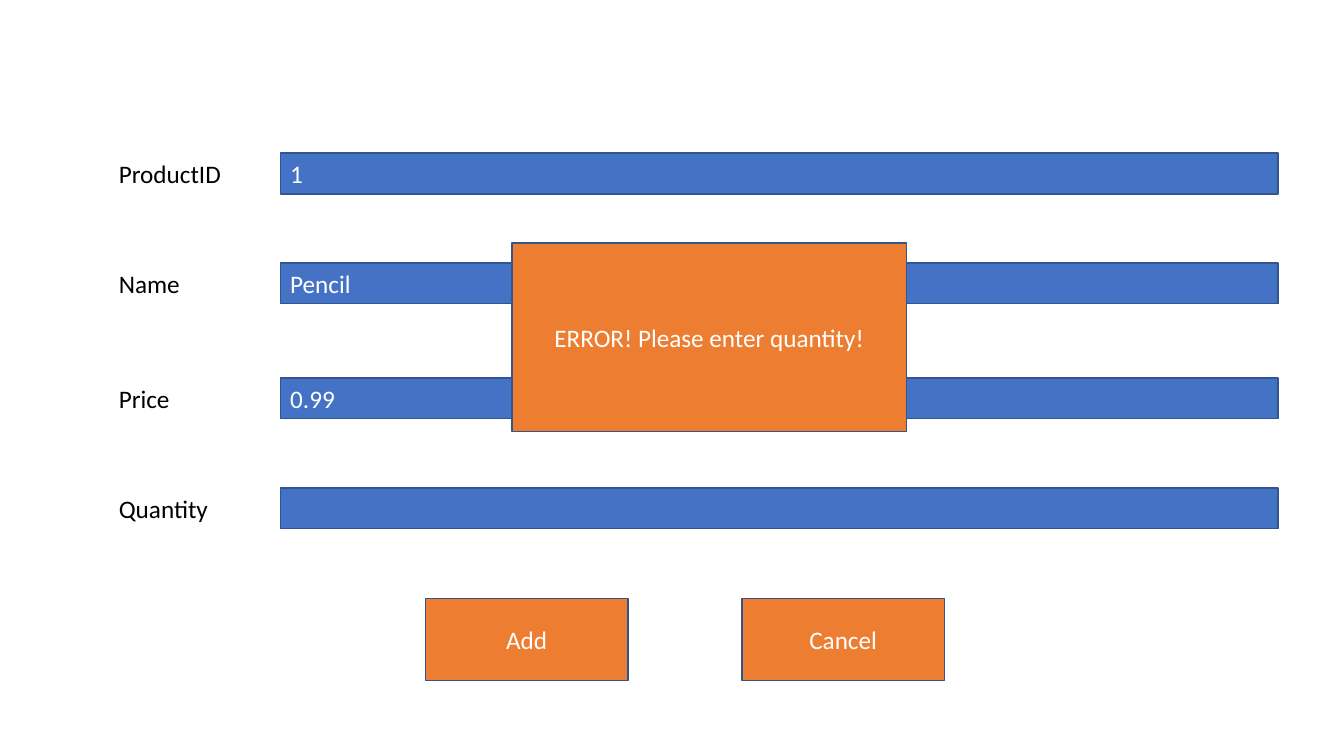
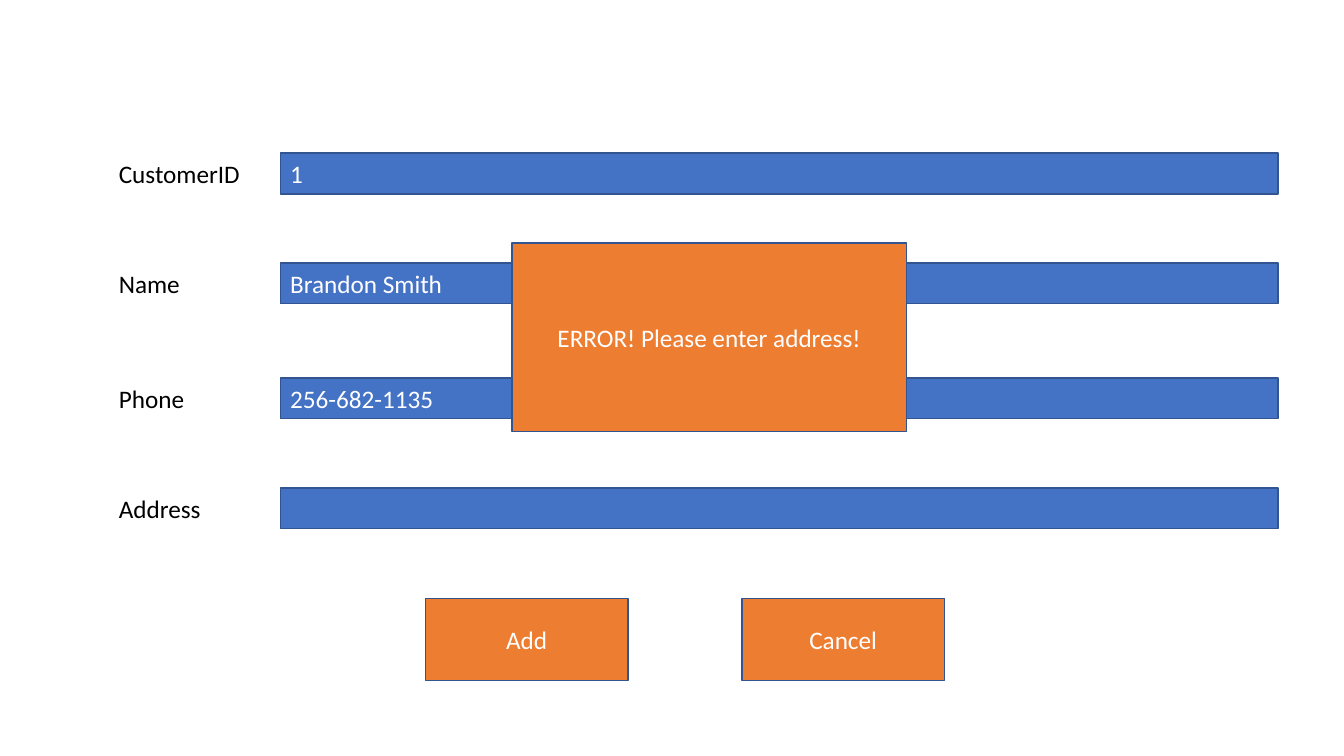
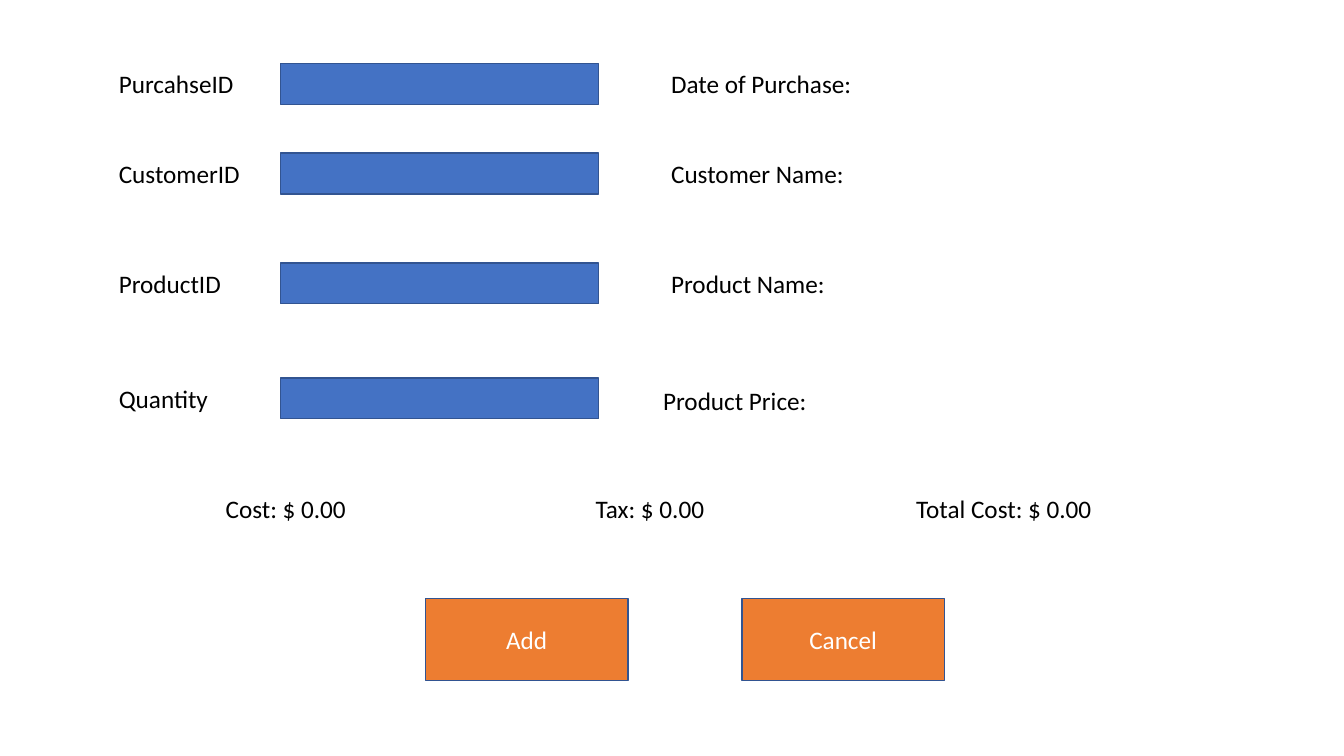
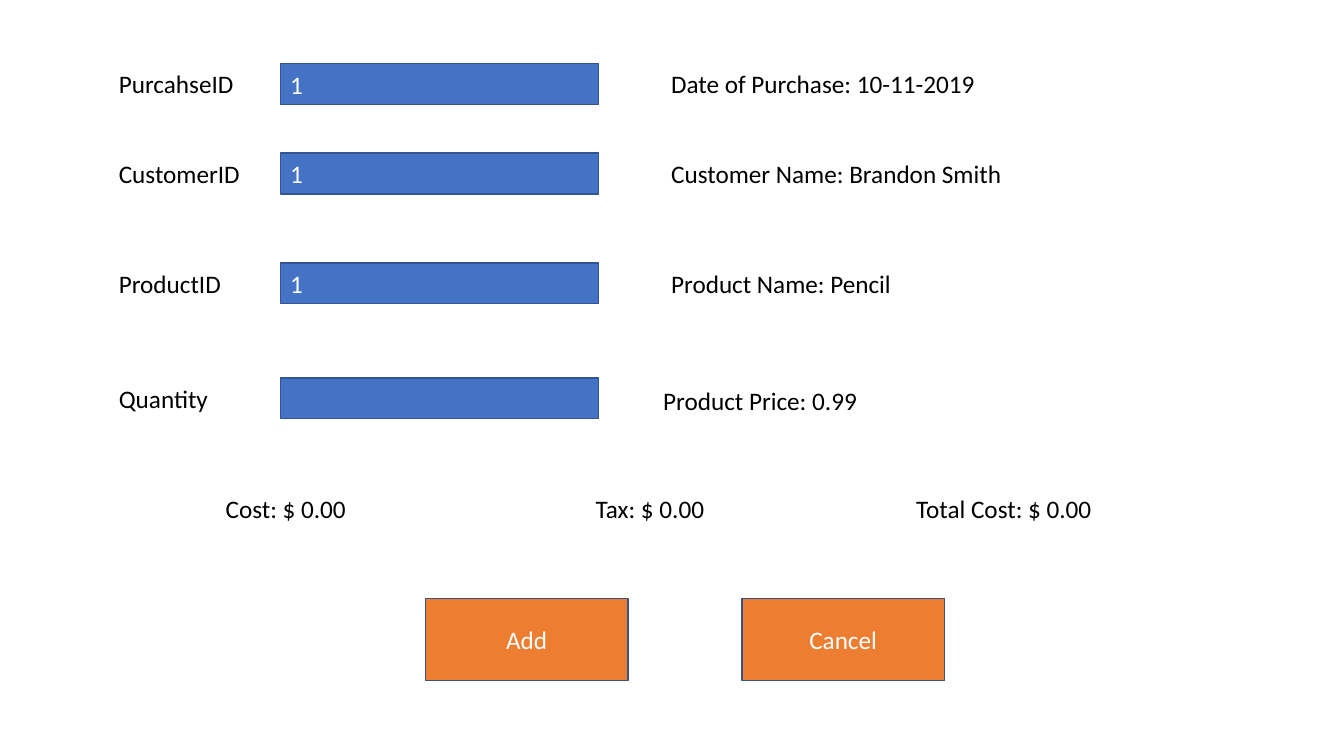
from pptx import Presentation
from pptx.dml.color import RGBColor
from pptx.enum.shapes import MSO_SHAPE
from pptx.enum.text import MSO_ANCHOR, MSO_AUTO_SIZE, PP_ALIGN
from pptx.util import Pt

RECTANGLE = MSO_SHAPE.RECTANGLE
MIDDLE = MSO_ANCHOR.MIDDLE
GROW = MSO_AUTO_SIZE.SHAPE_TO_FIT_TEXT
LEFT, CENTER = PP_ALIGN.LEFT, PP_ALIGN.CENTER

# Shared style
BLUE = RGBColor(0x44, 0x72, 0xC4)
ORANGE = RGBColor(0xED, 0x7D, 0x31)
OUTLINE = RGBColor(0x32, 0x54, 0x91)
WHITE = RGBColor(0xFF, 0xFF, 0xFF)
BLACK = RGBColor(0, 0, 0)

# Shared layout, in points
LABEL_LEFT, LABEL_WIDTH = 77.8, 103.7
FIELD_LEFT, ROW_HEIGHT = 200.2, 29.1
WIDE_FIELD, NARROW_FIELD = 712.8, 227.5
TOP_ROW = 45.4
ROWS = [109.4, 187.9, 270, 348.5]


class FormDeck:
    """Holds the form style and the slide being built."""

    def __init__(self):
        self.deck = Presentation()
        self.deck.slide_width = Pt(960)
        self.deck.slide_height = Pt(540)
        self.slide = None

    def new_slide(self):
        self.slide = self.deck.slides.add_slide(self.deck.slide_layouts[6])

    def set_text(self, frame, text, color, align=LEFT):
        paragraph = frame.paragraphs[0]
        paragraph.text = text
        paragraph.alignment = align
        font = paragraph.font
        font.name, font.size, font.color.rgb = "Calibri", Pt(18), color

    def box(self, left, top, width, height, fill, text="", align=CENTER):
        box = self.slide.shapes.add_shape(
            RECTANGLE, Pt(left), Pt(top), Pt(width), Pt(height))
        box.shadow.inherit = False
        box.fill.solid()
        box.fill.fore_color.rgb = fill
        box.line.color.rgb = OUTLINE
        box.line.width = Pt(1)
        box.text_frame.vertical_anchor = MIDDLE
        self.set_text(box.text_frame, text, WHITE, align)

    def label(self, left, top, width, text, wrap=True):
        label = self.slide.shapes.add_textbox(
            Pt(left), Pt(top), Pt(width), Pt(ROW_HEIGHT))
        label.text_frame.word_wrap = wrap
        label.text_frame.auto_size = GROW
        self.set_text(label.text_frame, text, BLACK)

    def fields(self, tops, width, entries):
        for top, (name, value) in zip(tops, entries):
            self.box(FIELD_LEFT, top, width, ROW_HEIGHT, BLUE, value, LEFT)
            self.label(LABEL_LEFT, top, LABEL_WIDTH, name)

    def buttons(self):
        for left, caption in ((303.8, "Add"), (529.9, "Cancel")):
            self.box(left, 427.7, 144.7, 58.3, ORANGE, caption)

    def error(self, message):
        self.box(365.8, 173.5, 281.5, 134.6, ORANGE, message)

    def totals(self):
        for left, width, name in ((154.1, 100.8, "Cost"),
                                  (418.3, 100.8, "Tax"),
                                  (647.3, 144.7, "Total Cost")):
            self.label(left, ROWS[3], width, f"{name}: $ 0.00")


form = FormDeck()

# Entry forms with a missing value
ENTRY_FORMS = [
    ([("ProductID", "1"), ("Name", "Pencil"), ("Price", "0.99"),
      ("Quantity", "")], "ERROR! Please enter quantity!"),
    ([("CustomerID", "1"), ("Name", "Brandon Smith"),
      ("Phone", "256-682-1135"), ("Address", "")],
     "ERROR! Please enter address!"),
]
for entries, message in ENTRY_FORMS:
    form.new_slide()
    form.fields(ROWS, WIDE_FIELD, entries)
    form.buttons()
    form.error(message)

# Purchase forms: ID value, then date and looked-up details with widths
PURCHASE_FORMS = [
    ("", ("Date of Purchase:", 146.9),
     [("Customer Name:", 139), ("Product Name:", 125.3),
      ("Product Price:", 118.1)]),
    ("1", ("Date of Purchase: 10-11-2019", 236.2),
     [("Customer Name: Brandon Smith", 253.4),
      ("Product Name: Pencil", 173.5), ("Product Price: 0.99", 154.8)]),
]
DETAIL_PLACES = [(472.3, ROWS[0]), (472.3, ROWS[1]), (466.6, 271.4)]
for id_value, (date, date_width), details in PURCHASE_FORMS:
    form.new_slide()
    form.fields([TOP_ROW] + ROWS[:3], NARROW_FIELD, [
        ("PurcahseID", id_value), ("CustomerID", id_value),
        ("ProductID", id_value), ("Quantity", "")])
    form.label(472.3, TOP_ROW, date_width, date)
    for (left, top), (detail, width) in zip(DETAIL_PLACES, details):
        form.label(left, top, width, detail, wrap=False)
    form.totals()
    form.buttons()

form.deck.save("out.pptx")
